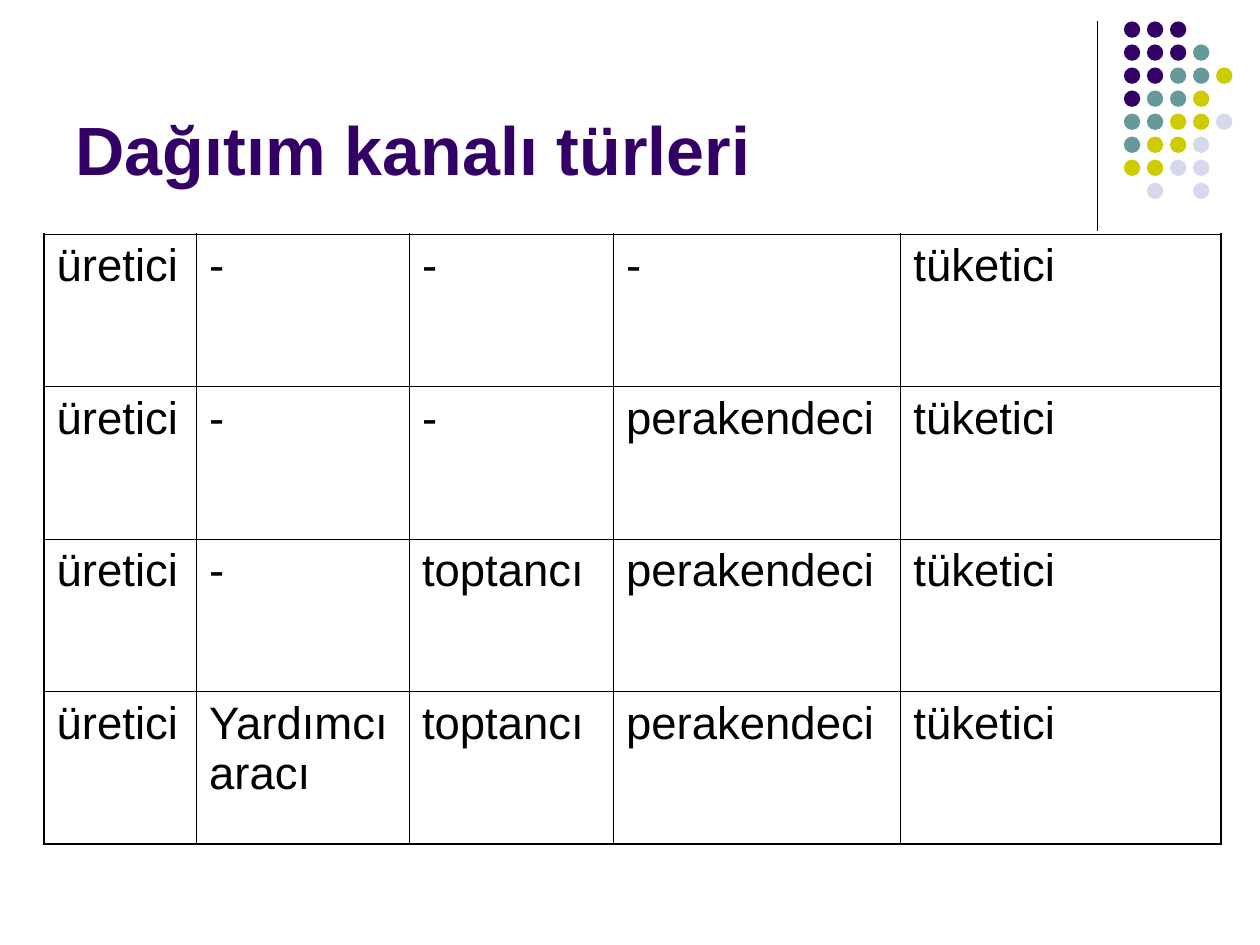
from lxml import etree
from pptx import Presentation
from pptx import util as u
from pptx.dml import color
from pptx.enum import shapes, text
from pptx.oxml import ns

FONT = "Arial"
BLACK = "000000"
PURPLE = "330066"
DOT_COLORS = {"P": PURPLE, "T": "669999", "Y": "CCCC00", "L": "D8D8EC"}
DOT_ROWS = ["PPP", "PPPT", "PPTTY", "PTTY", "TTYYL", "TYYL", "YYLL", " L L"]
DOT_PITCH = 1.28 / 7
COLUMN_WIDTHS = [1.21, 1.69, 1.62, 2.28, 2.54]
ROW_HEIGHT = 1.21
OUTER_BORDER = 1.08
INNER_BORDER = 0.45
CHANNELS = [
    ["üretici", "-", "-", "-", "tüketici"],
    ["üretici", "-", "-", "perakendeci", "tüketici"],
    ["üretici", "-", "toptancı", "perakendeci", "tüketici"],
    ["üretici", "Yardımcı aracı", "toptancı", "perakendeci", "tüketici"],
]


def rgb(value):
    return color.RGBColor.from_string(value)


def style_paragraph(para, size, hex_color, bold=False):
    para.alignment = text.PP_ALIGN.LEFT
    para.font.name = FONT
    para.font.size = u.Pt(size)
    para.font.bold = bold
    para.font.color.rgb = rgb(hex_color)


def set_title(page, words):
    title = page.shapes.title
    title.left, title.top = u.Inches(0.5), u.Inches(0.13)
    title.width, title.height = u.Inches(8.25), u.Inches(1.42)
    frame = title.text_frame
    frame.text = words
    frame.word_wrap = True
    frame.auto_size = text.MSO_AUTO_SIZE.NONE
    frame.vertical_anchor = text.MSO_ANCHOR.BOTTOM
    style_paragraph(frame.paragraphs[0], 39, PURPLE, bold=True)


def add_divider(page):
    line = page.shapes.add_connector(
        shapes.MSO_CONNECTOR.STRAIGHT,
        u.Inches(8.71), u.Inches(0.17), u.Inches(8.71), u.Inches(1.83))
    line.line.color.rgb = rgb(BLACK)
    line.line.width = u.Pt(0.75)
    etree.SubElement(line._element.spPr, ns.qn("a:effectLst"))


def add_dots(page):
    group = page.shapes.add_group_shape()
    for row, keys in enumerate(DOT_ROWS):
        for column, key in enumerate(keys):
            if key not in DOT_COLORS:
                continue
            dot = group.shapes.add_shape(
                shapes.MSO_SHAPE.OVAL,
                u.Inches(8.92 + column * DOT_PITCH),
                u.Inches(0.17 + row * DOT_PITCH),
                u.Inches(0.13), u.Inches(0.13))
            dot.shadow.inherit = False
            dot.fill.solid()
            dot.fill.fore_color.rgb = rgb(DOT_COLORS[key])
            dot.line.fill.background()


def set_borders(cell, widths):
    properties = cell._tc.get_or_add_tcPr()
    for index, (side, width) in enumerate(widths.items()):
        border = etree.Element(ns.qn(f"a:ln{side}"), w=str(u.Pt(width)))
        fill = etree.SubElement(border, ns.qn("a:solidFill"))
        etree.SubElement(fill, ns.qn("a:srgbClr"), val=BLACK)
        properties.insert(index, border)


def add_channel_table(page):
    rows, columns = len(CHANNELS), len(COLUMN_WIDTHS)
    table = page.shapes.add_table(
        rows, columns, u.Inches(0.35), u.Inches(1.86),
        u.Inches(sum(COLUMN_WIDTHS)), u.Inches(rows * ROW_HEIGHT)).table
    table.first_row = False
    table.horz_banding = False
    for column, width in zip(table.columns, COLUMN_WIDTHS):
        column.width = u.Inches(width)
    for r, words in enumerate(CHANNELS):
        table.rows[r].height = u.Inches(ROW_HEIGHT)
        for c, word in enumerate(words):
            cell = table.cell(r, c)
            cell.text = word
            cell.fill.background()
            style_paragraph(cell.text_frame.paragraphs[0], 26, BLACK)
            edges = {"L": c == 0, "R": c == columns - 1,
                     "T": r == 0, "B": r == rows - 1}
            set_borders(cell, {
                side: OUTER_BORDER if outer else INNER_BORDER
                for side, outer in edges.items()})


def main():
    deck = Presentation()
    deck.slide_width, deck.slide_height = u.Inches(10), u.Inches(7.5)
    page = deck.slides.add_slide(deck.slide_layouts[5])
    set_title(page, "Dağıtım kanalı türleri")
    add_divider(page)
    add_dots(page)
    add_channel_table(page)
    deck.save("out.pptx")


if __name__ == "__main__":
    main()
